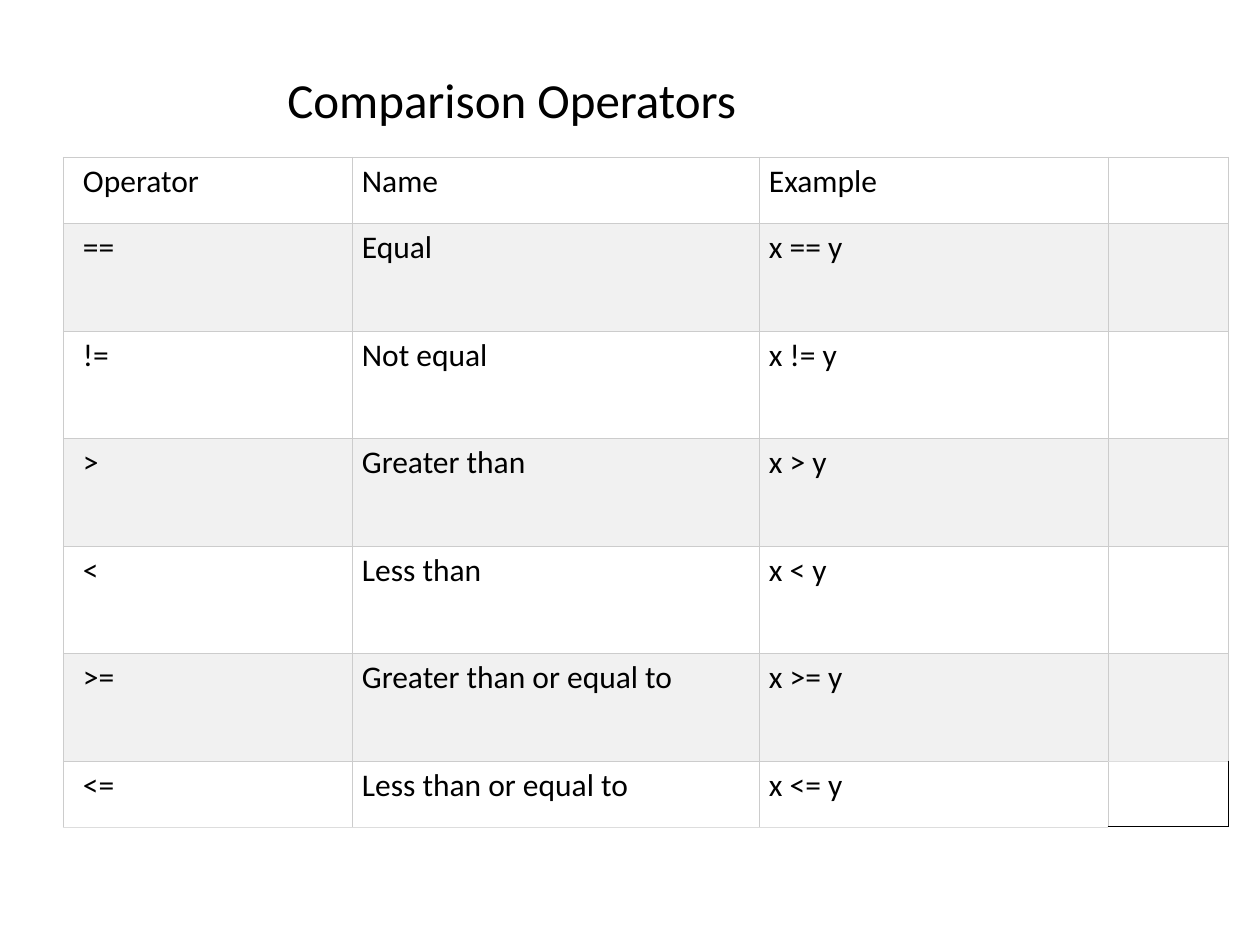
from lxml import etree
from pptx import Presentation
from pptx.dml.color import RGBColor
from pptx.enum.text import MSO_ANCHOR, PP_ALIGN
from pptx.oxml.ns import qn
from pptx.util import Emu, Pt

TOP = MSO_ANCHOR.TOP
LEFT = PP_ALIGN.LEFT

BLACK = RGBColor(0x00, 0x00, 0x00)
WHITE = RGBColor(0xFF, 0xFF, 0xFF)
BAND_GRAY = RGBColor(0xF1, 0xF1, 0xF1)
GRID_GRAY = RGBColor(0xCC, 0xCC, 0xCC)
EDGE_GRAY = RGBColor(0xDD, 0xDD, 0xDD)

PX_PER_INCH = 126
COLUMN_WIDTHS = (289, 407, 349, 120)
ROW_HEIGHTS = (66, 108, 107, 108, 107, 108, 66)
OPERATORS = (
    ("==", "Equal"),
    ("!=", "Not equal"),
    (">", "Greater than"),
    ("<", "Less than"),
    (">=", "Greater than or equal to"),
    ("<=", "Less than or equal to"),
)


def px(length):
    return Emu(length * 914400 // PX_PER_INCH)


class SlideBuilder:
    font_name = "Calibri"
    title_size = Pt(28)
    table_size = Pt(18)
    grid_width = Pt(0.34)
    corner_width = Pt(0.45)

    def __init__(self, slide):
        self.slide = slide

    def set_text(self, text_frame, text, size):
        text_frame.text = text
        paragraph = text_frame.paragraphs[0]
        paragraph.alignment = LEFT
        paragraph.font.size = size
        for run in paragraph.runs:
            run.font.name = self.font_name
            run.font.size = size
            run.font.color.rgb = BLACK

    def add_title(self, text, left, top, width, height):
        box = self.slide.shapes.add_textbox(px(left), px(top), px(width), px(height))
        box.text_frame.word_wrap = False
        self.set_text(box.text_frame, text, self.title_size)

    def add_border(self, cell, side, color, width):
        """Draw one cell side (L, R, T or B); call before filling the cell."""
        properties = cell._tc.get_or_add_tcPr()
        line = etree.SubElement(properties, qn(f"a:ln{side}"), w=str(width))
        fill = etree.SubElement(line, qn("a:solidFill"))
        etree.SubElement(fill, qn("a:srgbClr"), val=str(color))

    def style_cell(self, cell, row, column, last_row, last_column):
        is_corner = row == last_row and column == last_column
        grid = (GRID_GRAY, self.grid_width)
        edge = (EDGE_GRAY, self.grid_width)
        borders = {"L": grid, "R": grid, "T": grid, "B": grid}
        if is_corner:
            corner = (BLACK, self.corner_width)
            borders.update(T=edge, R=corner, B=corner)
        elif row == last_row or (row, column) == (last_row - 1, last_column):
            borders["B"] = edge
        for side, (color, width) in borders.items():
            self.add_border(cell, side, color, width)

        if is_corner:
            cell.fill.background()
        else:
            cell.fill.solid()
            cell.fill.fore_color.rgb = BAND_GRAY if row % 2 else WHITE
        cell.margin_left = px(20 if column == 0 else 10)
        cell.margin_right = px(10)
        cell.margin_top = cell.margin_bottom = px(6)
        cell.vertical_anchor = TOP

    def add_table(self, rows, left, top, column_widths, row_heights):
        frame = self.slide.shapes.add_table(
            len(row_heights), len(column_widths), px(left), px(top),
            px(sum(column_widths)), px(sum(row_heights)))
        table = frame.table
        table.first_row = False
        table.horz_banding = False
        for column, width in zip(table.columns, column_widths):
            column.width = px(width)
        for row, height in zip(table.rows, row_heights):
            row.height = px(height)
        for row_index, texts in enumerate(rows):
            for column_index, text in enumerate(texts):
                cell = table.cell(row_index, column_index)
                self.style_cell(cell, row_index, column_index,
                                len(row_heights) - 1, len(column_widths) - 1)
                self.set_text(cell.text_frame, text, self.table_size)


def main():
    presentation = Presentation()
    presentation.slide_width = px(1260)
    presentation.slide_height = px(945)
    slide = presentation.slides.add_slide(presentation.slide_layouts[6])
    builder = SlideBuilder(slide)

    rows = [("Operator", "Name", "Example", "")]
    rows += [(symbol, name, f"x {symbol} y", "") for symbol, name in OPERATORS]
    builder.add_table(rows, 63, 157, COLUMN_WIDTHS, ROW_HEIGHTS)
    builder.add_title("Comparison Operators", 275, 63, 476, 131)

    presentation.save("out.pptx")


if __name__ == "__main__":
    main()
